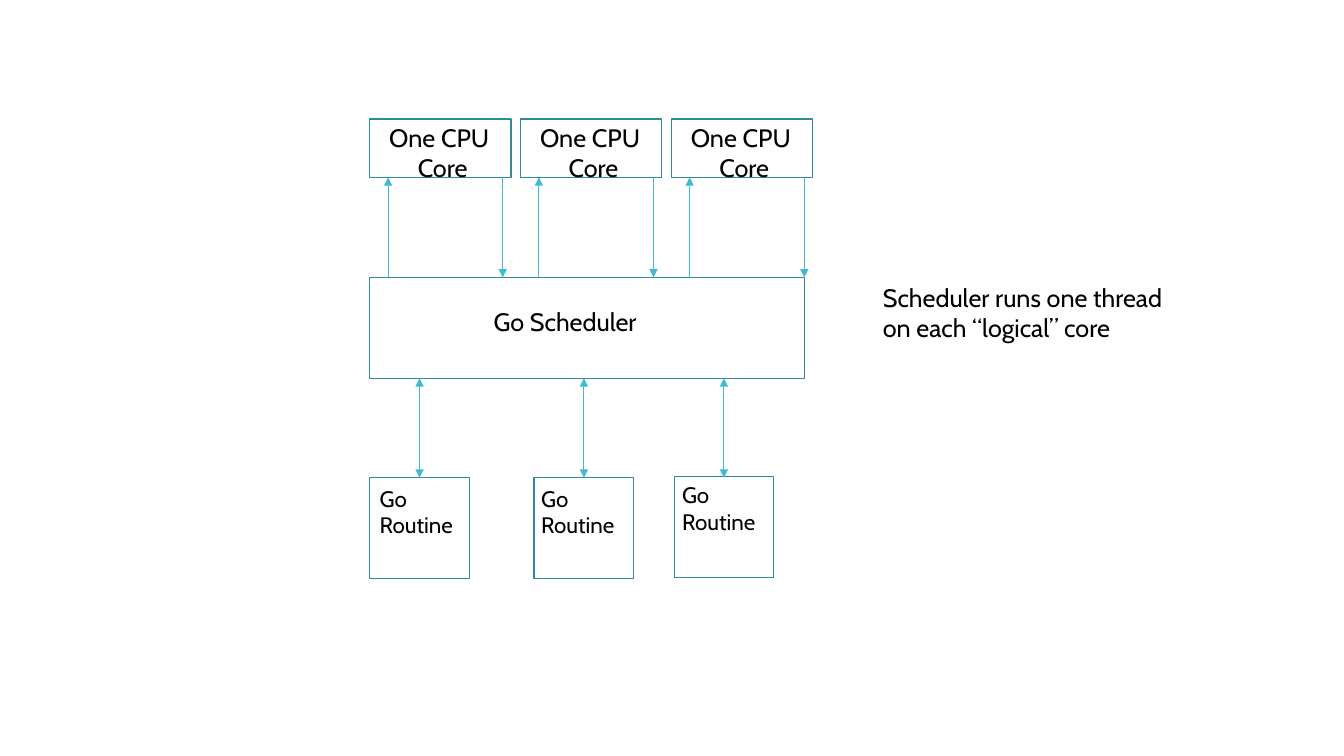
"""Build a slide showing how the Go scheduler maps routines to CPU cores."""
from lxml import etree
from pptx import Presentation
from pptx.dml.color import RGBColor
from pptx.enum.shapes import MSO_CONNECTOR, MSO_SHAPE
from pptx.oxml.ns import qn
from pptx.util import Cm, Pt

RECTANGLE = MSO_SHAPE.RECTANGLE
STRAIGHT = MSO_CONNECTOR.STRAIGHT
BLANK_LAYOUT = 6
FONT = "Cabin"
WHITE, BLACK, BORDER, ARROW = "FFFFFF", "000000", "2F8A9B", "40BAD2"

LEFT = 9.32
CORE_TOP, CORE_WIDTH, CORE_HEIGHT, CORE_STEP = 3.0, 3.56, 1.47, 3.8
CORE_BOTTOM = CORE_TOP + CORE_HEIGHT
SCHEDULER_TOP, SCHEDULER_WIDTH, SCHEDULER_HEIGHT = 6.99, 10.95, 2.54
SCHEDULER_BOTTOM = SCHEDULER_TOP + SCHEDULER_HEIGHT
ROUTINE_TOP, ROUTINE_WIDTH, ROUTINE_HEIGHT = 12.04, 2.51, 2.54
ROUTINES = [
    (LEFT, 12.04, LEFT, 12.09),
    (13.46, 12.04, 13.39, 12.09),
    (16.99, 12.01, 16.94, 12.01),
]


def color(value):
    """Turn a hex string into a colour."""
    return RGBColor.from_string(value)


def add_box(slide, left, top, width, height):
    """Add a white rectangle with a thin border."""
    shape = slide.shapes.add_shape(RECTANGLE, Cm(left), Cm(top), Cm(width), Cm(height))
    shape.shadow.inherit = False
    shape.fill.solid()
    shape.fill.fore_color.rgb = color(WHITE)
    shape.line.color.rgb = color(BORDER)
    shape.line.width = Pt(0.85)


def add_arrow(slide, x, start, end, both_ends=False):
    """Add a vertical arrow pointing at its end, or at both ends."""
    connector = slide.shapes.add_connector(STRAIGHT, Cm(x), Cm(start), Cm(x), Cm(end))
    connector.line.color.rgb = color(ARROW)
    connector.line.width = Pt(0.75)
    line = connector.line._get_or_add_ln()
    for tag in ["a:headEnd", "a:tailEnd"] if both_ends else ["a:tailEnd"]:
        etree.SubElement(line, qn(tag), type="triangle")
    etree.SubElement(connector._element.spPr, qn("a:effectLst"))


def add_text(slide, left, top, width, height, lines, size=18):
    """Add a text box with one paragraph per (text, indent) line."""
    shape = slide.shapes.add_textbox(Cm(left), Cm(top), Cm(width), Cm(height))
    frame = shape.text_frame
    frame.word_wrap = True
    for index, (text, indent) in enumerate(lines):
        paragraph = frame.add_paragraph() if index else frame.paragraphs[0]
        paragraph._p.get_or_add_pPr().set("marL", str(Cm(indent)))
        run = paragraph.add_run()
        run.text = text
        run.font.name = FONT
        run.font.size = Pt(size)
        run.font.color.rgb = color(BLACK)


def add_core(slide, left):
    """Add a CPU core with its arrows to and from the scheduler."""
    add_box(slide, left, CORE_TOP, CORE_WIDTH, CORE_HEIGHT)
    add_arrow(slide, left + 3.35, CORE_BOTTOM, SCHEDULER_TOP)
    add_arrow(slide, left + 0.46, SCHEDULER_TOP, CORE_BOTTOM)
    add_text(slide, left + 0.24, 2.95, 3.33, 1.8, [("One CPU", 0), ("Core", 0.72)])


def add_routine(slide, left, top, text_left, text_top):
    """Add a Go routine linked both ways with the scheduler."""
    add_box(slide, left, top, ROUTINE_WIDTH, ROUTINE_HEIGHT)
    add_arrow(slide, left + ROUTINE_WIDTH / 2, SCHEDULER_BOTTOM, ROUTINE_TOP, True)
    add_text(slide, text_left, text_top, ROUTINE_WIDTH, 1.63, [("Go Routine", 0)], 16)


def main():
    """Build and save the slide."""
    presentation = Presentation()
    presentation.slide_width, presentation.slide_height = Cm(33.87), Cm(19.05)
    slide = presentation.slides.add_slide(presentation.slide_layouts[BLANK_LAYOUT])
    add_box(slide, LEFT, SCHEDULER_TOP, SCHEDULER_WIDTH, SCHEDULER_HEIGHT)
    add_text(slide, 12.19, 7.59, 5.08, 1.02, [("Go Scheduler", 0)])
    for column in range(3):
        add_core(slide, LEFT + column * CORE_STEP)
    for routine in ROUTINES:
        add_routine(slide, *routine)
    caption = "Scheduler runs one thread on each \u201clogical\u201d core"
    add_text(slide, 22.0, SCHEDULER_TOP, 7.59, 1.8, [(caption, 0)])
    presentation.save("out.pptx")


main()
